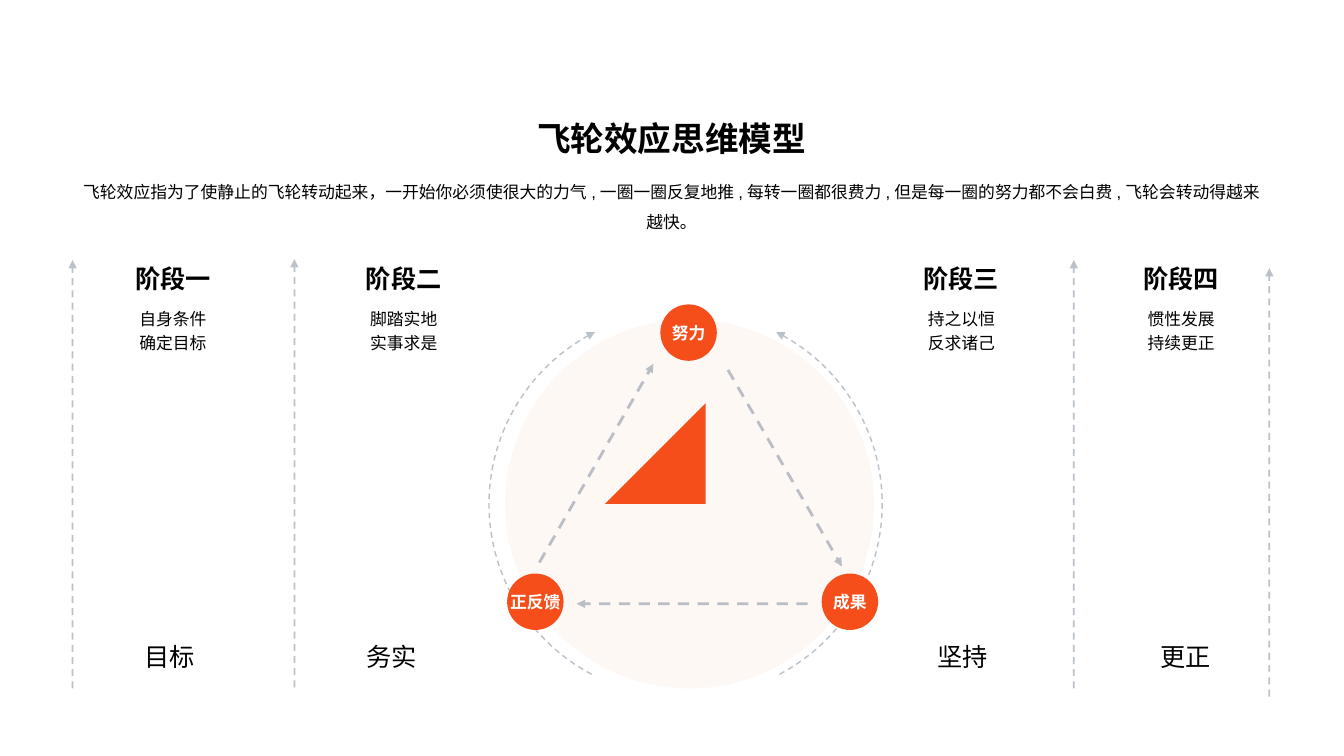
import lxml.etree
import pptx
import pptx.dml.color
import pptx.enum.dml
import pptx.enum.shapes
import pptx.enum.text
import pptx.oxml.ns
import pptx.util

Inches = pptx.util.Inches
Anchor = pptx.enum.text.MSO_ANCHOR
Shape = pptx.enum.shapes.MSO_SHAPE

ORANGE = "F54E1A"
PEACH = "FDDCD1"
GREY = "778495"
BLACK = "000000"
WHITE = "FFFFFF"


def add_element(parent, tag, **attributes):
    return lxml.etree.SubElement(parent, pptx.oxml.ns.qn(tag), **attributes)


def set_color(color_format, value, opacity=100):
    color_format.rgb = pptx.dml.color.RGBColor.from_string(value)
    if opacity < 100:
        color = color_format._xFill.find(pptx.oxml.ns.qn("a:srgbClr"))
        add_element(color, "a:alpha", val=str(opacity * 1000))


def set_fill(shape, color, opacity=100):
    shape.shadow.inherit = False
    shape.fill.solid()
    set_color(shape.fill.fore_color, color, opacity)
    shape.line.fill.background()


def set_dashed_arrow(line, width):
    line.width = pptx.util.Pt(width)
    line.fill.solid()
    set_color(line.fill.fore_color, GREY, 50)
    line.dash_style = pptx.enum.dml.MSO_LINE.DASH
    add_element(line._get_or_add_ln(), "a:tailEnd", type="triangle")


def write_text(shape, text, size=12, bold=False, color=BLACK, anchor=Anchor.TOP,
               spacing=1.0, wrap=True):
    frame = shape.text_frame
    frame.text = text
    frame.word_wrap = wrap
    frame.auto_size = pptx.enum.text.MSO_AUTO_SIZE.NONE
    frame.vertical_anchor = anchor
    for paragraph in frame.paragraphs:
        paragraph.alignment = pptx.enum.text.PP_ALIGN.CENTER
        paragraph.line_spacing = spacing
        paragraph.space_before = pptx.util.Pt(0)
        for run in paragraph.runs:
            run.font.name = "Arial"
            run.font.size = pptx.util.Pt(size)
            run.font.bold = bold
            set_color(run.font.color, color)


def add_text(slide, left, top, width, height, text, **text_format):
    box = slide.shapes.add_textbox(Inches(left), Inches(top), Inches(width), Inches(height))
    write_text(box, text, **text_format)


def place(shape, left, top, width, height):
    shape.left, shape.top = Inches(left), Inches(top)
    shape.width, shape.height = Inches(width), Inches(height)


def add_arrow(slide, start, end, width):
    connector = slide.shapes.add_connector(
        pptx.enum.shapes.MSO_CONNECTOR.STRAIGHT, *map(Inches, start + end))
    set_dashed_arrow(connector.line, width)
    add_element(connector._element.spPr, "a:effectLst")


def add_arc(slide, left, flipped):
    size = Inches(3.82)
    arc = slide.shapes.add_shape(Shape.ARC, Inches(left), Inches(3.09), size, size)
    arc.adjustments[0] = 70.71
    arc.adjustments[1] = 145.98
    arc.shadow.inherit = False
    arc.fill.background()
    set_dashed_arrow(arc.line, 1)
    if flipped:
        arc._element.spPr.xfrm.set("flipH", "1")


def add_circle(slide, left, top, size, color, opacity=100):
    circle = slide.shapes.add_shape(
        Shape.OVAL, Inches(left), Inches(top), Inches(size), Inches(size))
    set_fill(circle, color, opacity)
    return circle


def curve_points(start, first, second, end, steps=12):
    for step in range(steps + 1):
        t = step / steps
        weights = ((1 - t) ** 3, 3 * t * (1 - t) ** 2, 3 * t ** 2 * (1 - t), t ** 3)
        yield tuple(sum(weight * point[axis] for weight, point in
                        zip(weights, (start, first, second, end))) for axis in (0, 1))


def add_rounded_triangle(slide):
    corners = [
        ((6.25, 5.3), (6.21, 5.36), (6.26, 5.43), (6.33, 5.43)),
        ((7.34, 5.43), (7.41, 5.43), (7.45, 5.36), (7.42, 5.3)),
        ((6.91, 4.42), (6.88, 4.36), (6.79, 4.36), (6.76, 4.42)),
    ]
    points = [point for corner in corners for point in curve_points(*corner)]
    builder = slide.shapes.build_freeform(*points[0], scale=Inches(1))
    builder.add_line_segments(points[1:], close=True)
    set_fill(builder.convert_to_shape(), ORANGE)


def add_heading(slide):
    title, body = slide.placeholders
    place(title, 0.72, 1.12, 11.88, 0.5)
    write_text(title, "飞轮效应思维模型", size=24, bold=True, anchor=Anchor.BOTTOM)
    place(body, 0.72, 1.65, 11.88, 0.67)
    write_text(body, "飞轮效应指为了使静止的飞轮转动起来，一开始你必须使很大的力气,一圈一圈反复地推,"
               "每转一圈都很费力,但是每一圈的努力都不会白费,飞轮会转动得越来越快。", spacing=1.5)
    properties = body.text_frame.paragraphs[0]._p.get_or_add_pPr()
    properties.set("marL", "0")
    properties.set("indent", "0")
    add_element(properties, "a:buNone")


def add_flywheel(slide):
    add_arc(slide, 4.93, True)
    add_arc(slide, 4.85, False)
    add_circle(slide, 5.01, 3.17, 3.66, PEACH, 20)
    for start, end in [((7.22, 3.67), (8.35, 5.62)),
                       ((8.01, 5.99), (5.72, 5.99)),
                       ((5.35, 5.58), (6.48, 3.61))]:
        add_arrow(slide, start, end, 2)
    for left, top, label in [(6.55, 3.02, "努力"), (5.03, 5.69, "正反馈"), (8.15, 5.69, "成果")]:
        circle = add_circle(slide, left, top, 0.56, ORANGE)
        write_text(circle, label, bold=True, color=WHITE, anchor=Anchor.MIDDLE, wrap=False)
    add_rounded_triangle(slide)


def add_stage(slide, left, heading, details, keyword_left, keyword):
    add_text(slide, left, 2.97, 1.75, 0.6, details, spacing=1.2)
    add_text(slide, left, 2.31, 1.75, 0.65, heading, size=18, bold=True, anchor=Anchor.BOTTOM)
    add_text(slide, keyword_left, 6.1, 1.39, 0.61, keyword, size=18, anchor=Anchor.BOTTOM)


def main():
    presentation = pptx.Presentation()
    presentation.slide_width = Inches(13.33)
    presentation.slide_height = Inches(7.5)
    slide = presentation.slides.add_slide(presentation.slide_layouts[1])
    add_heading(slide)
    add_flywheel(slide)
    for stage in [
        (0.84, "阶段一", "自身条件\n确定目标", 0.99, "目标"),
        (3.13, "阶段二", "脚踏实地\n实事求是", 3.19, "务实"),
        (8.66, "阶段三", "持之以恒\n反求诸己", 8.85, "坚持"),
        (10.84, "阶段四", "惯性发展\n持续更正", 11.06, "更正"),
    ]:
        add_stage(slide, *stage)
    for left, bottom in [(0.72, 6.83), (2.92, 6.82), (10.65, 6.83), (12.59, 6.91)]:
        add_arrow(slide, (left, bottom), (left, bottom - 4.25), 1.25)
    presentation.save("out.pptx")


main()
